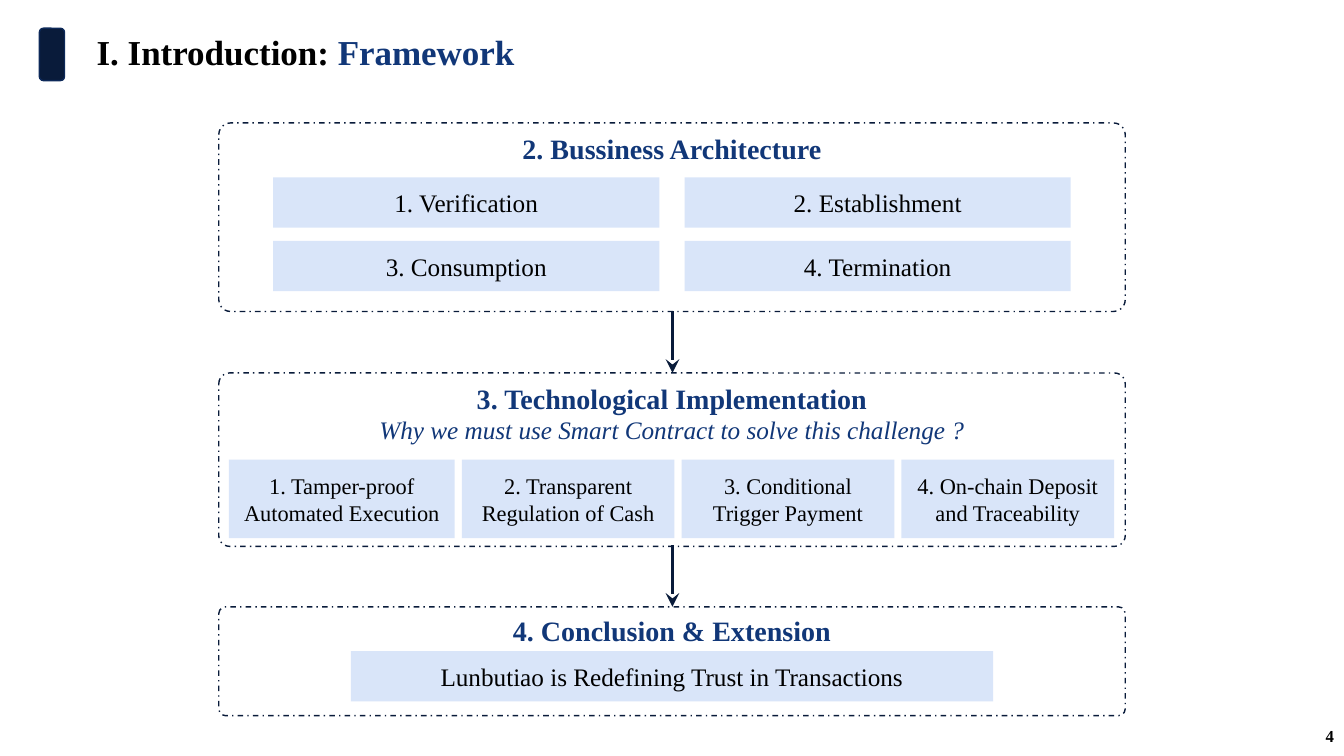
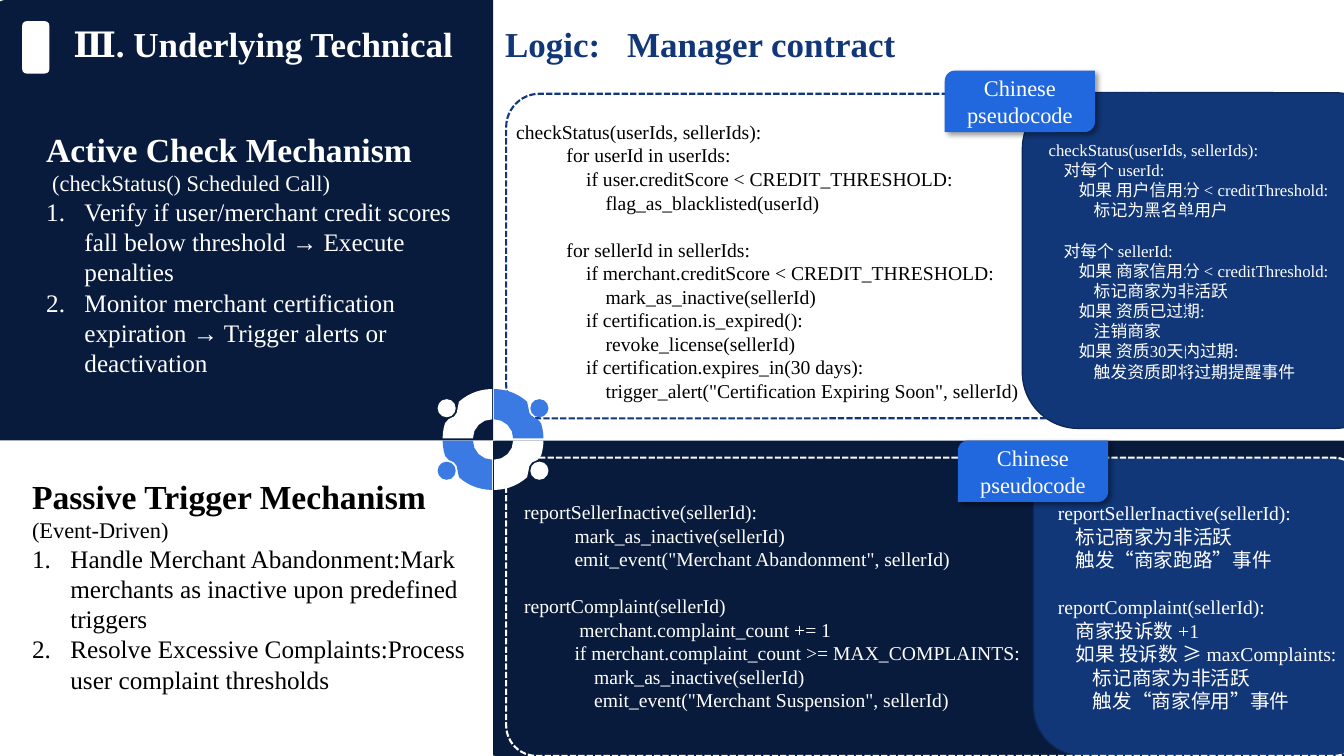
"""Build two slides: the talk framework and the manager contract logic."""
from math import asin, cos, hypot, atan2, pi, sin, sqrt

from lxml.etree import SubElement
from pptx import Presentation
from pptx.dml.color import RGBColor
from pptx.enum.dml import MSO_LINE
from pptx.enum.shapes import MSO_CONNECTOR, MSO_SHAPE
from pptx.enum.text import MSO_ANCHOR, PP_ALIGN
from pptx.oxml.ns import qn
from pptx.util import Inches, Pt

FONT = "Times New Roman"
NAVY, DEEP, BLUE, EDGE = "091B3A", "081B3C", "113778", "0D2959"
PALE, SKY, TAG = "D9E5F9", "3B79E3", "2167DE"
WHITE, BLACK = "FFFFFF", "000000"
MID, TOP = MSO_ANCHOR.MIDDLE, MSO_ANCHOR.TOP
LEFT, CENTER, RIGHT = PP_ALIGN.LEFT, PP_ALIGN.CENTER, PP_ALIGN.RIGHT
RECT, ROUND = MSO_SHAPE.RECTANGLE, MSO_SHAPE.ROUNDED_RECTANGLE
HEAD = {"size": 25, "bold": True, "space": 0.9}


def box(slide, kind, x, y, w, h, fill=None, line=None, weight=1, dash=None,
        adj=None, anchor=MID):
    """Add a shape, or a text box when kind is None."""
    area = [Inches(v) for v in (x, y, w, h)]
    if kind is None:
        shape = slide.shapes.add_textbox(*area)
    else:
        shape = slide.shapes.add_shape(kind, *area)
        shape.shadow.inherit = False
        if fill:
            shape.fill.solid()
            shape.fill.fore_color.rgb = RGBColor.from_string(fill)
        else:
            shape.fill.background()
        if line:
            shape.line.color.rgb = RGBColor.from_string(line)
            shape.line.width = Pt(weight)
            shape.line.dash_style = dash
        else:
            shape.line.fill.background()
        if adj is not None:
            shape.adjustments[0] = adj
    shape.text_frame.word_wrap = True
    shape.text_frame.vertical_anchor = anchor
    return shape


def write(shape, text, size=14, color=BLACK, bold=False, italic=False, align=LEFT,
          indent=0, number=False, space=None, spread=0, more=False):
    """Add paragraphs, one a line; a leading tab indents, an empty line is a gap."""
    frame, gap = shape.text_frame, 0
    for row in text.split("\n"):
        if not row:
            gap = 1.2 * size
            continue
        para = frame.paragraphs[-1]
        if para.runs and not more:
            para = frame.add_paragraph()
        if not more:
            para.alignment = align
            if space:
                para.line_spacing = space
            if gap:
                para.space_before = Pt(gap)
            props = para._p.get_or_add_pPr()
            left = 0.38 if number else 0.5 if row[0] == "\t" else indent
            props.set("marL", str(Inches(left)))
            props.set("indent", str(Inches(-left if number else 0)))
            if number:
                SubElement(props, qn("a:buAutoNum"), type="arabicPeriod")
        run = para.add_run()
        run.text = row.removeprefix("\t")
        font = run.font
        font.name, font.size, font.bold, font.italic = FONT, Pt(size), bold, italic
        font.color.rgb = RGBColor.from_string(color)
        if spread:
            run._r.get_or_add_rPr().set("spc", str(spread * 100))
        gap = 0


deck = Presentation()
deck.slide_width, deck.slide_height = Inches(13.33), Inches(7.5)
plan, logic = [deck.slides.add_slide(deck.slide_layouts[6]) for _ in range(2)]

box(plan, ROUND, 0.39, 0.28, 0.25, 0.52, NAVY, EDGE)
title = box(plan, None, 0.86, 0.28, 7.52, 0.52)
write(title, "I. Introduction: ", **HEAD)
write(title, "Framework", color=BLUE, more=True, **HEAD)
page = box(plan, None, 10.33, 7.1, 3, 0.4)
write(page, "4", size=12, bold=True, align=RIGHT)

for y, h, head, note in (
        (1.22, 1.87, "2. Bussiness Architecture", ""),
        (3.7, 1.72, "3. Technological Implementation",
         "Why we must use Smart Contract to solve this challenge ?"),
        (6.02, 1.08, "4. Conclusion & Extension", "")):
    group = box(plan, ROUND, 2.17, y, 8.99, h, line=NAVY, dash=MSO_LINE.DASH_DOT,
                adj=0.062, anchor=TOP)
    write(group, head, size=20, color=BLUE, bold=True, align=CENTER)
    write(group, note, size=18, color=BLUE, italic=True, align=CENTER)

cards = [(3.48, 6.46, 6.37, 0.5, 18, "Lunbutiao is Redefining Trust in Transactions")]
for i, name in enumerate(("Verification", "Establishment", "Consumption", "Termination")):
    cards.append((2.71 + i % 2 * 4.08, 1.76 + i // 2 * 0.63, 3.83, 0.5, 18,
                  f"{i + 1}. {name}"))
x = 2.27
for w, name in ((2.24, "1. Tamper-proof Automated Execution"),
                (2.11, "2. Transparent Regulation of Cash"),
                (2.11, "3. Conditional Trigger Payment"),
                (2.11, "4. On-chain Deposit and Traceability")):
    cards.append((x, 4.56, w, 0.78, 16, name))
    x += w + 0.07
for x, y, w, h, size, name in cards:
    write(box(plan, RECT, x, y, w, h, PALE), name, size=size, align=CENTER)

for y in (3.09, 5.41):
    arrow = plan.shapes.add_connector(MSO_CONNECTOR.STRAIGHT, Inches(6.67), Inches(y),
                                      Inches(6.67), Inches(y + 0.61))
    arrow.line.color.rgb = RGBColor.from_string(NAVY)
    arrow.line.width = Pt(1.5)
    SubElement(arrow.line._get_or_add_ln(), qn("a:tailEnd"), type="stealth",
               w="lg", len="lg")
    SubElement(arrow._element.spPr, qn("a:effectLst"))

for x, y, w, h in ((7.54, 1.68, 3.13, 8.51), (-1.33, 1.28, 7.5, 4.94)):
    panel = box(logic, MSO_SHAPE.ROUND_2_SAME_RECTANGLE, x, y, w, h, DEEP, adj=0.021)
    panel.rotation = 270
title = box(logic, None, 0.63, 0.2, 9.62, 0.52)
write(title, "Ⅲ. Underlying Technical", color=WHITE, **HEAD)
for part, spread in ((" ", 31), ("Logic:", 0), (" ", 13), ("Manager contract", 0)):
    write(title, part, color=BLUE, spread=spread, more=True, **HEAD)
box(logic, RECT, -0.05, 4.37, 4.94, 3.13, WHITE)

check = """checkStatus(userIds, sellerIds):
    对每个 userId:
        如果 用户信用分 < creditThreshold:
            标记为黑名单用户

    对每个 sellerId:
        如果 商家信用分 < creditThreshold:
            标记商家为非活跃
        如果 资质已过期:
            注销商家
        如果 资质30天内过期:
            触发资质即将过期提醒事件"""
report = """reportSellerInactive(sellerId):
    标记商家为非活跃
    触发“商家跑路”事件

reportComplaint(sellerId):
    商家投诉数 +1
    如果 投诉数 ≥ maxComplaints:
        标记商家为非活跃
        触发“商家停用”事件"""
for x, y, w, h, size, code in ((10.14, 0.92, 3.65, 3.33, 12, check),
                               (10.25, 4.54, 3.44, 2.96, 14, report)):
    write(box(logic, ROUND, x, y, w, h, BLUE, EDGE), code, size=size, color=WHITE)

for x, y, w, h, ink, head, call, inset, steps in (
        (0.36, 1.23, 4.37, 2.63, WHITE, "Active Check Mechanism",
         "(checkStatus() Scheduled Call)", 0.06,
         "Verify if user/merchant credit scores fall below threshold → Execute penalties\n"
         "Monitor merchant certification expiration → Trigger alerts or deactivation"),
        (0.22, 4.67, 4.54, 2.93, BLACK, "Passive Trigger Mechanism",
         "(Event-Driven)", 0,
         "Handle Merchant Abandonment:Mark merchants as inactive upon predefined triggers\n"
         "Resolve Excessive Complaints:Process user complaint thresholds")):
    side = box(logic, None, x, y, w, h, anchor=TOP)
    write(side, head, size=24, color=ink, bold=True)
    write(side, call, size=16, color=ink, indent=inset)
    write(side, steps, size=18, color=ink, number=True)

check = """checkStatus(userIds, sellerIds):
\tfor userId in userIds:
\t    if user.creditScore < CREDIT_THRESHOLD:
\t        flag_as_blacklisted(userId)

\tfor sellerId in sellerIds:
\t    if merchant.creditScore < CREDIT_THRESHOLD:
\t        mark_as_inactive(sellerId)
\t    if certification.is_expired():
\t        revoke_license(sellerId)
\t    if certification.expires_in(30 days):
\t        trigger_alert("Certification Expiring Soon", sellerId)"""
report = """reportSellerInactive(sellerId):
\tmark_as_inactive(sellerId)
\temit_event("Merchant Abandonment", sellerId)

reportComplaint(sellerId)
\t merchant.complaint_count += 1
\tif merchant.complaint_count >= MAX_COMPLAINTS:
\t    mark_as_inactive(sellerId)
\t    emit_event("Merchant Suspension", sellerId)"""
for x, y, w, h, ink, code in ((5.02, 1.14, 5.38, 2.93, BLACK, check),
                              (5.1, 4.91, 6.69, 2.22, WHITE, report)):
    write(box(logic, None, x, y, w, h, anchor=TOP), code, color=ink)

box(logic, ROUND, 0.22, 0.21, 0.27, 0.52, WHITE)
for y, w, h, ink in ((0.93, 6.75, 3.22, BLUE), (4.54, 8.51, 2.96, WHITE)):
    box(logic, ROUND, 5.02, y, w, h, line=ink, weight=1.5, dash=MSO_LINE.SQUARE_DOT,
        adj=0.103)

for x, y in ((9.37, 0.7), (9.5, 4.37)):
    tag = box(logic, MSO_SHAPE.ROUND_2_DIAG_RECTANGLE, x, y, 1.49, 0.61, TAG)
    write(tag, "Chinese pseudocode", size=16, color=WHITE, align=CENTER)
    glow = SubElement(tag._element.spPr.find(qn("a:effectLst")), qn("a:outerShdw"),
                      blurRad=str(Pt(4)), dist=str(Pt(3)), dir="2700000",
                      algn="tl", rotWithShape="0")
    tone = SubElement(glow, qn("a:srgbClr"), val=BLACK)
    SubElement(tone, qn("a:alpha"), val="40000")

OUTER, INNER, NOTCH, DOT = 0.49, 0.19, 0.11, 0.09
across, down = 0.45, 0.3
reach, aim = hypot(across, down), atan2(down, across)
ring = []
for i in range(16):
    turn = pi / 2 * i / 15
    span = OUTER
    if abs(turn - aim) < asin(NOTCH / reach):
        near = reach * cos(turn - aim) - sqrt(NOTCH ** 2 - (reach * sin(turn - aim)) ** 2)
        span = min(span, near)
    ring.append((span * cos(turn), span * sin(turn)))
for i in range(5):
    turn = pi / 2 * (1 - i / 4)
    ring.append((INNER * cos(turn), INNER * sin(turn)))

for sx, sy, ink in ((-1, 1, SKY), (1, 1, WHITE), (1, -1, SKY), (-1, -1, WHITE)):
    cx, cy = 4.89 + sx * 0.01, 4.36 + sy * 0.01
    spots = [(Inches(cx + sx * a), Inches(cy + sy * b)) for a, b in ring]
    pen = logic.shapes.build_freeform(*spots[0])
    pen.add_line_segments(spots[1:], close=True)
    wedge = pen.convert_to_shape()
    wedge.shadow.inherit = False
    wedge.fill.solid()
    wedge.fill.fore_color.rgb = RGBColor.from_string(ink)
    wedge.line.fill.background()
    box(logic, MSO_SHAPE.OVAL, cx + sx * across - DOT, cy + sy * down - DOT,
        2 * DOT, 2 * DOT, ink)

deck.save("out.pptx")
